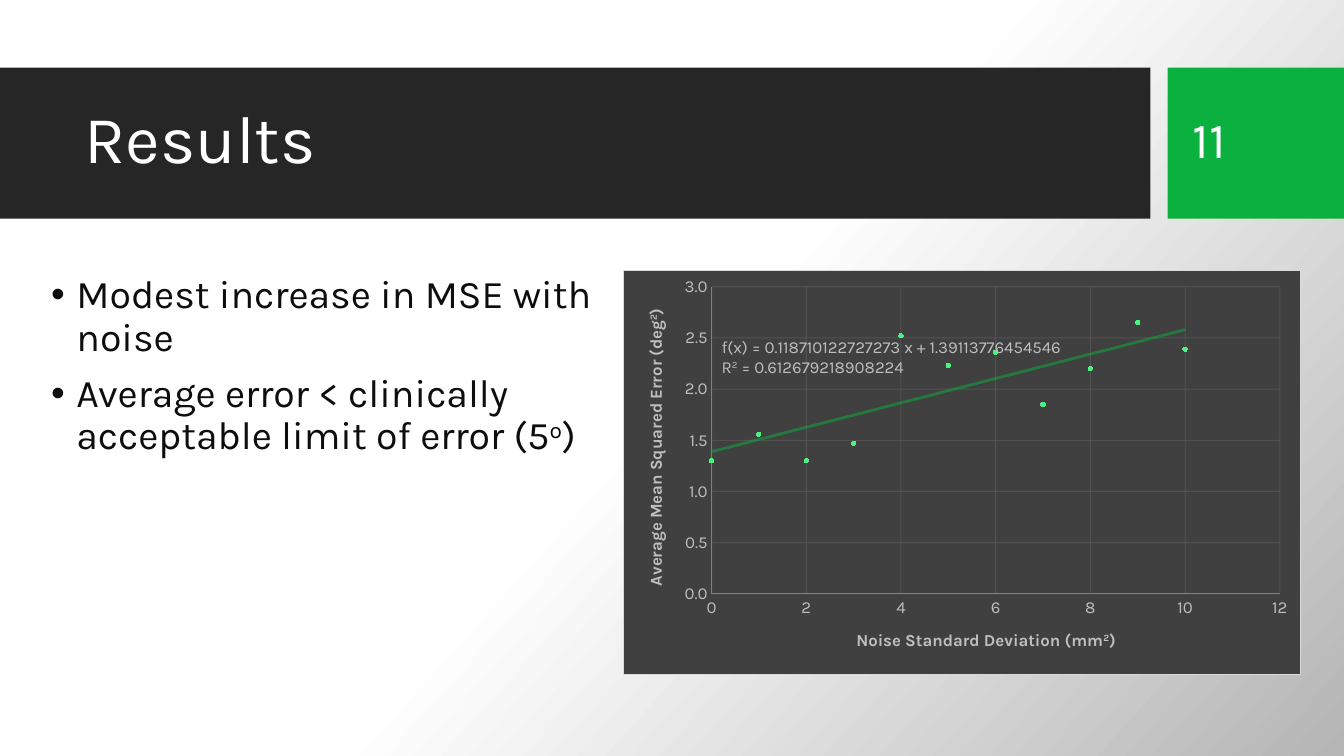
from copy import deepcopy

from lxml.etree import SubElement
from pptx import Presentation
from pptx.chart.data import XyChartData
from pptx.dml.color import RGBColor
from pptx.enum.chart import XL_CHART_TYPE, XL_MARKER_STYLE, XL_TICK_MARK
from pptx.enum.shapes import MSO_SHAPE
from pptx.enum.text import MSO_ANCHOR
from pptx.oxml import parse_xml
from pptx.oxml.ns import nsdecls, qn
from pptx.util import Inches, Pt

FONT = "Karla"
WHITE = RGBColor(0xFF, 0xFF, 0xFF)
BLACK = RGBColor(0x00, 0x00, 0x00)
INK = RGBColor(0x0D, 0x0D, 0x0D)
BAND = RGBColor(0x26, 0x26, 0x26)
GREEN = RGBColor(0x0B, 0xB1, 0x3E)
MINT = RGBColor(0x49, 0xF4, 0x7E)
SHADE = RGBColor(0xB5, 0xB5, 0xB5)
PANEL = RGBColor(0x40, 0x40, 0x40)
BORDER = RGBColor(0xD9, 0xD9, 0xD9)
LABEL = RGBColor(0xBF, 0xBF, 0xBF)
AXIS = RGBColor(0x80, 0x80, 0x80)
GRID = RGBColor(0x59, 0x59, 0x59)

ERRORS = [1.3, 1.56, 1.3, 1.47, 2.52, 2.23, 2.36, 1.85, 2.2, 2.65, 2.39]
BULLETS = [
    [("Modest increase in MSE with noise", INK, False)],
    [
        ("Average error < clinically acceptable limit of error (5", INK, False),
        ("o", BLACK, True),
        (")", INK, False),
    ],
]
TREND_FORMULA = [
    [("f(x) = 0.118710122727273 x + 1.39113776454546", LABEL, False)],
    [("R", LABEL, False), ("2", LABEL, True), (" = 0.612679218908224", LABEL, False)],
]


def set_background(slide):
    fill = slide.background.fill
    fill.gradient()
    fill.gradient_angle = 318
    stop_list = slide.element.find(".//" + qn("a:gsLst"))
    stop_list.insert(1, deepcopy(stop_list[0]))
    for stop, position, color in zip(fill.gradient_stops, (0, 0.5, 1), (WHITE, WHITE, SHADE)):
        stop.position = position
        stop.color.rgb = color


def add_band(slide, left, width, color):
    band = slide.shapes.add_shape(
        MSO_SHAPE.RECTANGLE, Inches(left), Inches(0.67), Inches(width), Inches(1.5)
    )
    band.shadow.inherit = False
    band.fill.solid()
    band.fill.fore_color.rgb = color
    band.line.fill.background()


def add_box(slide, left, top, width, height, anchor):
    box = slide.shapes.add_textbox(Inches(left), Inches(top), Inches(width), Inches(height))
    box.text_frame.word_wrap = True
    box.text_frame.vertical_anchor = anchor
    return box.text_frame


def style_font(font, size, color, bold=False):
    font.name = FONT
    font.size = Pt(size)
    font.color.rgb = color
    font.bold = bold


def add_span(para, text, size, color, raised, bold=False):
    span = para.add_run()
    span.text = text
    style_font(span.font, size, color, bold)
    if raised:
        span.font._element.set("baseline", "30000")


def add_heading(slide, text, size, left, width):
    frame = add_box(slide, left, 0.82, width, 1.18, MSO_ANCHOR.MIDDLE)
    frame.text = text
    para = frame.paragraphs[0]
    para.line_spacing = 0.9
    style_font(para.runs[0].font, size, WHITE)


def fill_paragraphs(frame, lines, size):
    for index, spans in enumerate(lines):
        para = frame.add_paragraph() if index else frame.paragraphs[0]
        for text, color, raised in spans:
            add_span(para, text, size, color, raised)


def add_bullets(slide):
    frame = add_box(slide, 0.41, 2.68, 5.59, 3.94, MSO_ANCHOR.TOP)
    fill_paragraphs(frame, BULLETS, 28)
    for para in frame.paragraphs:
        para.line_spacing = 0.9
        para.space_before = Pt(10)
        properties = para._p.get_or_add_pPr()
        properties.set("marL", str(Inches(0.25)))
        properties.set("indent", str(-Inches(0.25)))
        SubElement(properties, qn("a:buFont"), typeface="Arial")
        SubElement(properties, qn("a:buChar"), char="•")


def add_trend_formula(slide):
    frame = add_box(slide, 7.06, 3.29, 3.8, 0.5, MSO_ANCHOR.TOP)
    fill_paragraphs(frame, TREND_FORMULA, 12)


def style_axis(axis, title, unit, maximum, step, number_format):
    axis.minimum_scale = 0
    axis.maximum_scale = maximum
    axis.major_unit = step
    axis.major_tick_mark = XL_TICK_MARK.NONE
    axis.minor_tick_mark = XL_TICK_MARK.NONE
    axis.tick_labels.number_format = number_format
    axis.tick_labels.number_format_is_linked = False
    style_font(axis.tick_labels.font, 12, LABEL)
    axis.has_major_gridlines = True
    for line, color in ((axis.format.line, AXIS), (axis.major_gridlines.format.line, GRID)):
        line.color.rgb = color
        line.width = Pt(0.75)
    para = axis.axis_title.text_frame.paragraphs[0]
    for text, raised in ((f"{title} ({unit}", False), ("2", True), (")", False)):
        add_span(para, text, 12, LABEL, raised, True)


def add_trend(chart):
    trend = parse_xml(
        f'<c:trendline {nsdecls("c", "a")}><c:spPr><a:ln w="{Pt(2)}" cap="rnd"><a:solidFill>'
        f'<a:srgbClr val="{GREEN}"><a:alpha val="50000"/></a:srgbClr></a:solidFill></a:ln></c:spPr>'
        '<c:trendlineType val="linear"/><c:dispRSqr val="0"/><c:dispEq val="0"/></c:trendline>'
    )
    chart.element.find(".//" + qn("c:xVal")).addprevious(trend)


def style_panel(chart):
    chart.element.find(qn("c:chart")).addnext(parse_xml(
        f'<c:spPr {nsdecls("c", "a")}><a:solidFill><a:srgbClr val="{PANEL}"/></a:solidFill>'
        f'<a:ln w="{Pt(0.75)}"><a:solidFill><a:srgbClr val="{BORDER}"/></a:solidFill></a:ln></c:spPr>'
    ))
    plot_area = chart.element.find(".//" + qn("c:plotArea"))
    for old_layout in plot_area.findall(qn("c:layout")):
        plot_area.remove(old_layout)
    plot_area.insert(0, parse_xml(
        f'<c:layout {nsdecls("c")}><c:manualLayout><c:layoutTarget val="inner"/>'
        '<c:xMode val="edge"/><c:yMode val="edge"/><c:x val="0.13"/><c:y val="0.04"/>'
        '<c:w val="0.84"/><c:h val="0.76"/></c:manualLayout></c:layout>'
    ))
    for grid in plot_area.iter(qn("c:majorGridlines")):
        SubElement(grid.find(".//" + qn("a:srgbClr")), qn("a:alpha"), val="75000")


def add_error_chart(slide):
    data = XyChartData()
    points = data.add_series("Series 1")
    for noise, error in enumerate(ERRORS):
        points.add_data_point(noise, error)
    chart = slide.shapes.add_chart(
        XL_CHART_TYPE.XY_SCATTER, Inches(6.18), Inches(2.68), Inches(6.72), Inches(4.02), data
    ).chart
    chart.has_title = False
    chart.has_legend = False
    style_font(chart.font, 10, WHITE)
    chart.plots[0].vary_by_categories = False
    series = chart.plots[0].series[0]
    series.smooth = False
    series.format.line.fill.background()
    marker = series.marker
    marker.style = XL_MARKER_STYLE.CIRCLE
    marker.size = 3
    marker.format.fill.solid()
    marker.format.fill.fore_color.rgb = MINT
    marker.format.line.fill.background()
    style_axis(chart.category_axis, "Noise Standard Deviation", "mm", 12, 2, "General")
    style_axis(chart.value_axis, "Average Mean Squared Error", "deg", 3, 0.5, "0.0")
    add_trend(chart)
    style_panel(chart)


def main():
    deck = Presentation()
    deck.slide_width = Inches(13.33)
    deck.slide_height = Inches(7.5)
    slide = deck.slides.add_slide(deck.slide_layouts[6])
    set_background(slide)
    add_band(slide, 0, 11.41, BAND)
    add_band(slide, 11.58, 1.75, GREEN)
    add_heading(slide, "Results", 48, 0.74, 10.51)
    add_error_chart(slide)
    add_trend_formula(slide)
    add_bullets(slide)
    add_heading(slide, "11", 36, 11.73, 1.26)
    deck.save("out.pptx")


if __name__ == "__main__":
    main()
